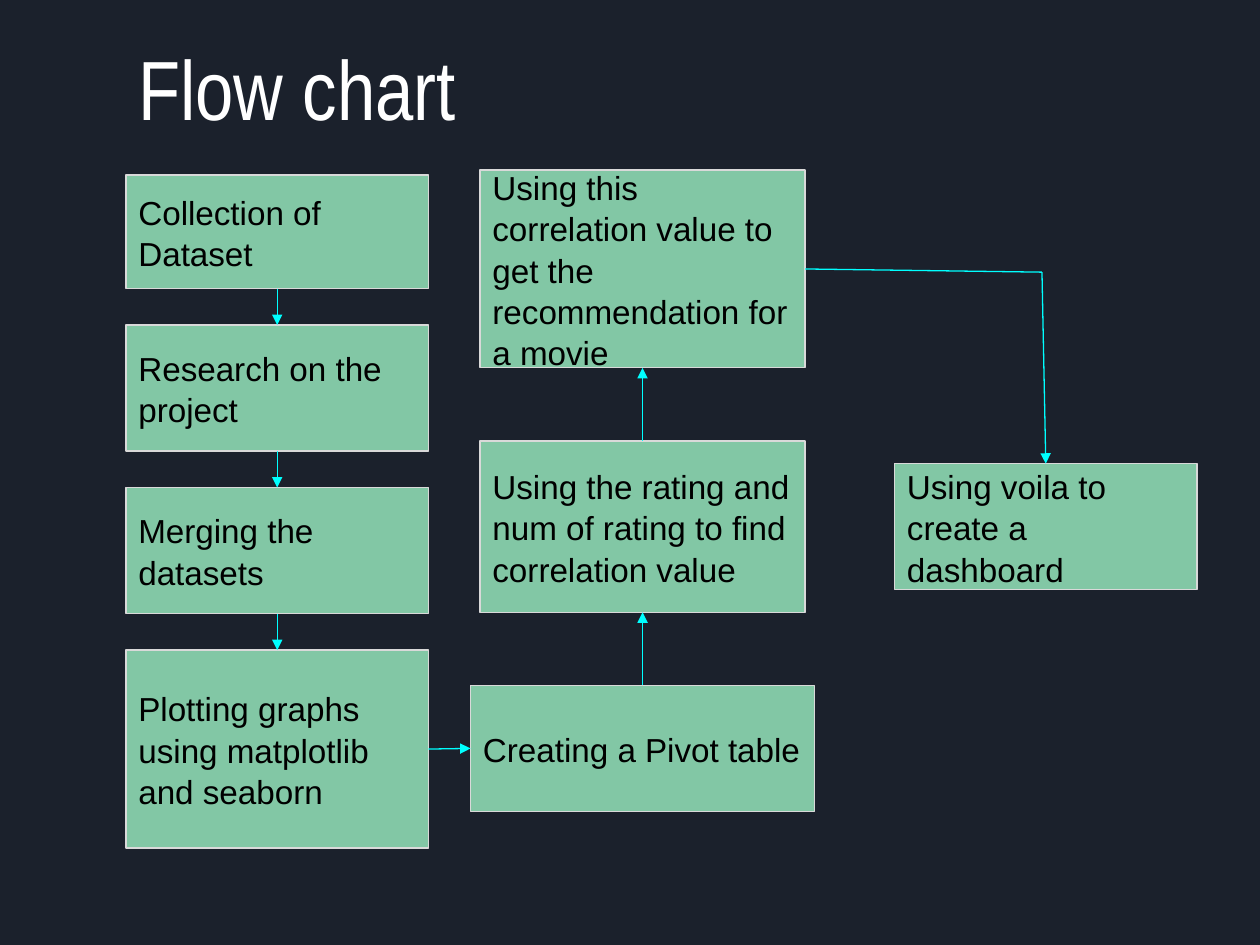
from dataclasses import dataclass

from lxml.etree import SubElement
from pptx import Presentation
from pptx.dml.color import RGBColor as Rgb
from pptx.enum.shapes import MSO_CONNECTOR as Connector, MSO_SHAPE as Shape
from pptx.enum.text import MSO_ANCHOR as Anchor, PP_ALIGN as Align
from pptx.oxml.ns import qn
from pptx.util import Inches, Pt


@dataclass(frozen=True)
class Theme:
    background: Rgb = Rgb(0x1B, 0x21, 0x2C)
    title: Rgb = Rgb(0xFF, 0xFF, 0xFF)
    step_fill: Rgb = Rgb(0x82, 0xC7, 0xA5)
    step_border: Rgb = Rgb(0xD9, 0xD9, 0xD9)
    step_text: Rgb = Rgb(0x00, 0x00, 0x00)
    arrow: Rgb = Rgb(0x00, 0xFF, 0xFF)
    title_font: str = "Arial Narrow"
    step_font: str = "Arial"
    title_size: int = 48
    step_size: int = 19
    line_width: float = 0.75


THEME = Theme()
TOP, LEFT, BOTTOM, RIGHT = range(4)  # connection sites of a rectangle


def write_text(shape, text, *, font, size, color, margin_y, spacing=1.0):
    frame = shape.text_frame
    frame.word_wrap = True
    frame.vertical_anchor = Anchor.MIDDLE
    frame.margin_left = frame.margin_right = Inches(0.1)
    frame.margin_top = frame.margin_bottom = Inches(margin_y)
    paragraph = frame.paragraphs[0]
    paragraph.alignment = Align.LEFT
    paragraph.line_spacing = spacing
    run = paragraph.add_run()
    run.text = text
    run.font.name = font
    run.font.size = Pt(size)
    run.font.color.rgb = color


def add_title(slide, text):
    title = slide.shapes.add_textbox(Inches(1), Inches(0.19), Inches(8.5), Inches(1))
    write_text(title, text, font=THEME.title_font, size=THEME.title_size,
               color=THEME.title, margin_y=0.05)


def add_step(slide, text, center, top, width, height):
    step = slide.shapes.add_shape(Shape.RECTANGLE, Inches(center - width / 2),
                                  Inches(top), Inches(width), Inches(height))
    step.shadow.inherit = False
    step.fill.solid()
    step.fill.fore_color.rgb = THEME.step_fill
    step.line.color.rgb = THEME.step_border
    step.line.width = Pt(THEME.line_width)
    write_text(step, text, font=THEME.step_font, size=THEME.step_size,
               color=THEME.step_text, margin_y=0.1, spacing=1.04)
    return step


def add_column(slide, center, top, gap, steps):
    """Stack steps of (text, width, height) downwards with equal gaps."""
    column = []
    for text, width, height in steps:
        column.append(add_step(slide, text, center, top, width, height))
        top += height + gap
    return column


def add_link(slide, begin, end, arrow=True):
    """Each end is a point (x, y) in inches or a (step, site) pair."""
    link = slide.shapes.add_connector(Connector.STRAIGHT, 0, 0, 0, 0)
    if hasattr(begin[0], "text_frame"):
        link.begin_connect(*begin)
    else:
        link.begin_x, link.begin_y = map(Inches, begin)
    if hasattr(end[0], "text_frame"):
        link.end_connect(*end)
    else:
        link.end_x, link.end_y = map(Inches, end)
    link.line.color.rgb = THEME.arrow
    link.line.width = Pt(THEME.line_width)
    if arrow:
        SubElement(link.line._get_or_add_ln(), qn("a:tailEnd"), type="triangle")
    SubElement(link._element.spPr, qn("a:effectLst"))


def main():
    deck = Presentation()
    deck.slide_width, deck.slide_height = Inches(10), Inches(7.5)
    slide = deck.slides.add_slide(deck.slide_layouts[6])
    slide.background.fill.solid()
    slide.background.fill.fore_color.rgb = THEME.background

    add_title(slide, "Flow chart")

    # Steps, each column listed from top to bottom
    preparation = add_column(slide, 2.2, 1.39, 0.29, [
        ("Collection of Dataset", 2.4, 0.9),
        ("Research on the project", 2.4, 1),
        ("Merging the datasets", 2.4, 1),
        ("Plotting graphs using matplotlib and seaborn", 2.4, 1.57),
    ])
    recommendation, correlation, pivot = add_column(slide, 5.1, 1.35, 0.58, [
        ("Using this correlation value to get the recommendation for a movie", 2.58, 1.57),
        ("Using the rating and num of rating to find correlation value", 2.58, 1.36),
        ("Creating a Pivot table", 2.73, 1),
    ])
    dashboard = add_step(slide, "Using voila to create a dashboard", 8.3, 3.68, 2.4, 1)

    # Down the first column, across, and up the second
    for upper, lower in zip(preparation, preparation[1:]):
        add_link(slide, (upper, BOTTOM), (lower, TOP))
    add_link(slide, (preparation[-1], RIGHT), (pivot, LEFT))
    add_link(slide, (pivot, TOP), (correlation, BOTTOM))
    add_link(slide, (correlation, TOP), (recommendation, BOTTOM))

    # Bent path to the dashboard
    bend = (8.27, 2.16)
    add_link(slide, bend, (dashboard, TOP))
    add_link(slide, bend, (recommendation, RIGHT), arrow=False)

    deck.save("out.pptx")


if __name__ == "__main__":
    main()
